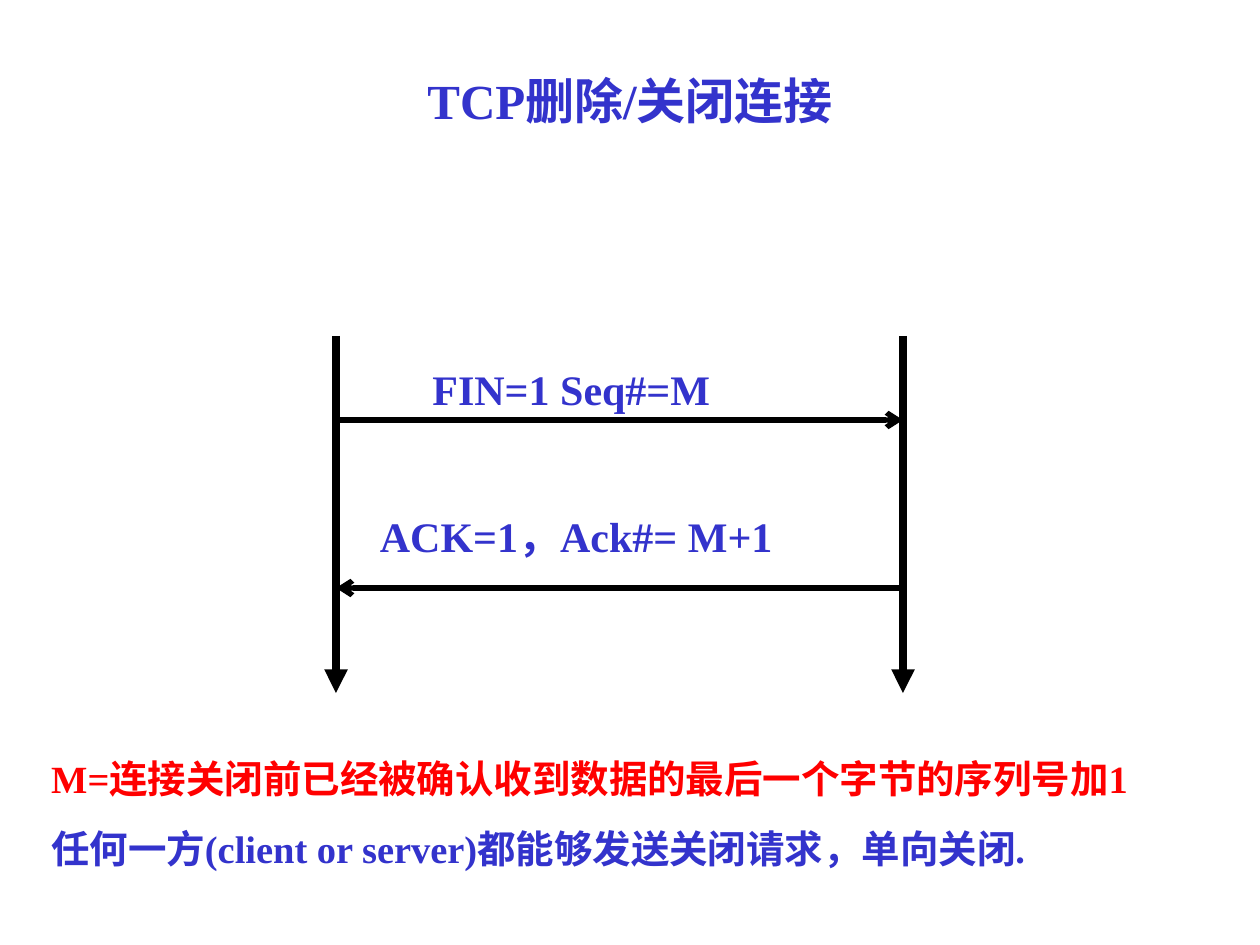
from lxml import etree
from pptx import Presentation
from pptx import util as u
from pptx.dml.color import RGBColor
from pptx.enum import shapes, text
from pptx.oxml import ns

PX = 7620
COLORS = {"blue": "3333CC", "red": "FF0000", "black": "000000", "shadow": "C0C0C0"}
FONT = {"name": "Times New Roman", "bold": True}
FRAME = {"word_wrap": True, "auto_size": text.MSO_AUTO_SIZE.NONE}


class Deck:
    def __init__(self, width, height):
        self.prs = Presentation()
        self.prs.slide_width = u.Emu(width * PX)
        self.prs.slide_height = u.Emu(height * PX)
        self.s = self.prs.slides.add_slide(self.prs.slide_layouts[5])

    def styled_run(self, p, words, size, color):
        r = p.add_run()
        r.text = words
        for key, value in {**FONT, "size": u.Pt(size)}.items():
            setattr(r.font, key, value)
        r.font.color.rgb = RGBColor.from_string(COLORS[color])
        return r

    def frame(self, sp, anchor):
        for key, value in {**FRAME, "vertical_anchor": anchor}.items():
            setattr(sp.text_frame, key, value)
        return sp.text_frame

    def title(self, x, y, w, h, words, size):
        sp = self.s.shapes.title
        for key, value in {"left": x, "top": y, "width": w, "height": h}.items():
            setattr(sp, key, u.Emu(value * PX))
        p = self.frame(sp, text.MSO_ANCHOR.MIDDLE).paragraphs[0]
        p.alignment = text.PP_ALIGN.CENTER
        r = self.styled_run(p, words, size, "blue")
        effects = etree.Element(ns.qn("a:effectLst"))
        shadow = etree.SubElement(effects, ns.qn("a:outerShdw"), dist="17961", dir="2700000")
        etree.SubElement(shadow, ns.qn("a:srgbClr"), val=COLORS["shadow"])
        r._r.get_or_add_rPr().find(ns.qn("a:solidFill")).addnext(effects)

    def label(self, x, y, w, h, lines, size, gap=0):
        sp = self.s.shapes.add_textbox(*(u.Emu(n * PX) for n in (x, y, w, h)))
        tf = self.frame(sp, text.MSO_ANCHOR.TOP)
        for i, (words, color) in enumerate(lines):
            p = tf.add_paragraph() if i else tf.paragraphs[0]
            if i:
                p.space_before = u.Pt(gap)
            self.styled_run(p, words, size, color)

    def arrow(self, x1, y1, x2, y2, width, head):
        ends = (u.Emu(n * PX) for n in (x1, y1, x2, y2))
        sp = self.s.shapes.add_connector(shapes.MSO_CONNECTOR.STRAIGHT, *ends)
        sp.line.width = u.Pt(width)
        sp.line.color.rgb = RGBColor.from_string(COLORS["black"])
        etree.SubElement(sp.line._get_or_add_ln(), ns.qn("a:tailEnd"), type=head)
        etree.SubElement(sp._element.spPr, ns.qn("a:effectLst"))


def main():
    client, server = 320, 860
    deck = Deck(1200, 900)
    deck.title(0, 20, 1200, 150, "TCP删除/关闭连接", 28)
    for x in (client, server):
        deck.arrow(x, 320, x, 660, 4.5, "triangle")
    deck.arrow(client, 400, server, 400, 3, "arrow")
    deck.arrow(server, 560, client, 560, 3, "arrow")
    deck.label(400, 340, 390, 60, [("FIN=1 Seq#=M", "blue")], 24)
    deck.label(350, 480, 580, 60, [("ACK=1，Ack#= M+1", "blue")], 24)
    notes = [
        ("M=连接关闭前已经被确认收到数据的最后一个字节的序列号加1", "red"),
        ("任何一方(client or server)都能够发送关闭请求，单向关闭.", "blue"),
    ]
    deck.label(37, 713, 1124, 124, notes, 22, 13.8)
    deck.prs.save("out.pptx")


if __name__ == "__main__":
    main()
